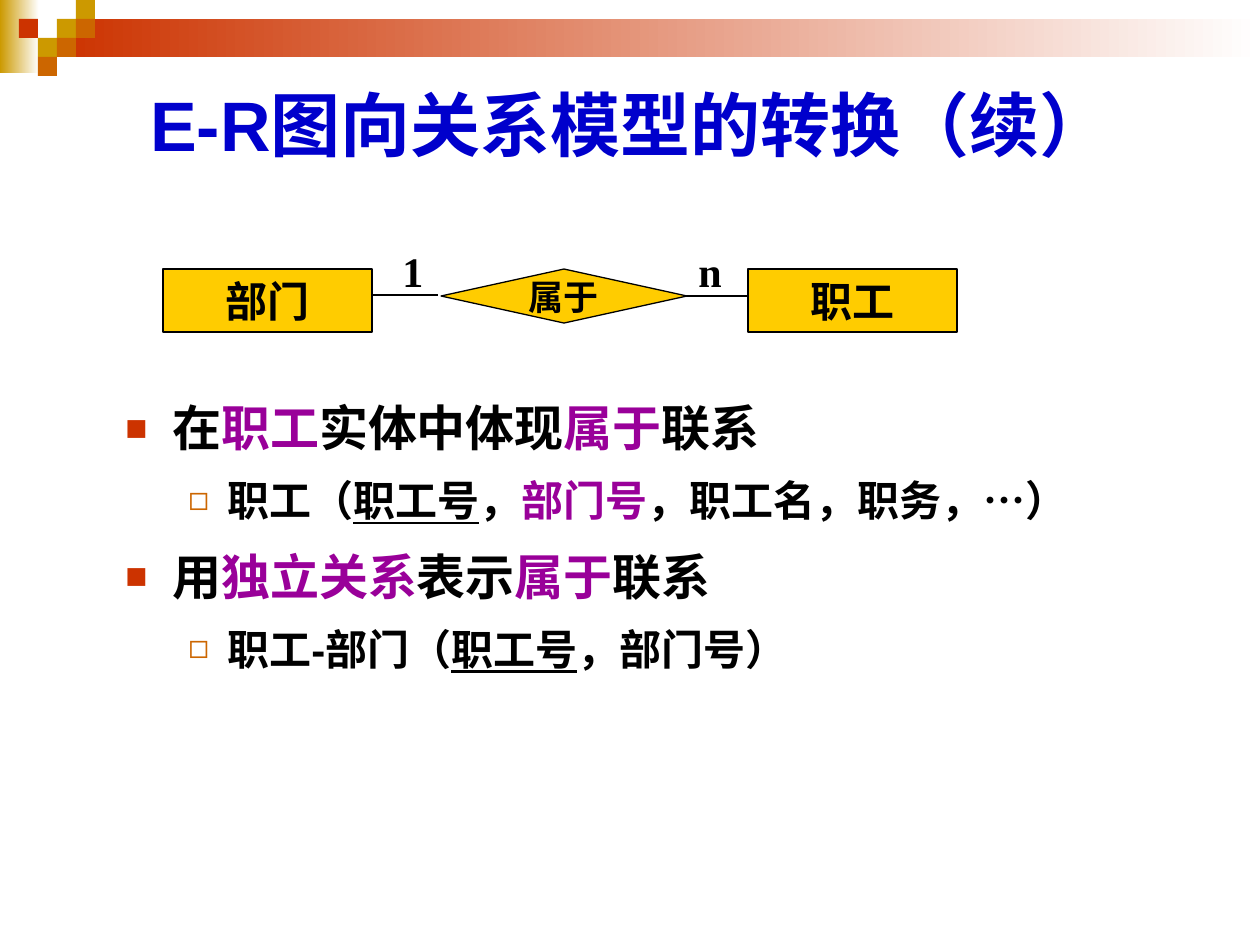
from lxml.etree import SubElement
from pptx import Presentation
from pptx.dml.color import RGBColor
from pptx.enum.shapes import MSO_CONNECTOR, MSO_SHAPE
from pptx.enum.text import MSO_ANCHOR as Anchor, PP_ALIGN as Align
from pptx.oxml.ns import qn
from pptx.util import Emu, Pt

COLORS = {"black": "000000", "white": "FFFFFF", "title": "0000CC", "key": "990099",
          "box": "FFCC00", "gold": "CC9900", "orange": "CC6600", "red": "CC3300"}
PIXEL = 914400 // 126
SANS, SERIF = "Arial", "Times New Roman"
CELL = 19

BANDS = [("gold", (0, 0, 39, 73)), ("red", (57, 19, 1203, 38))]
SQUARES = [(3, 1, "gold"), (4, 0, "gold"), (4, 1, "orange"), (2, 2, "gold"),
           (1, 1, "red"), (3, 2, "orange"), (2, 3, "orange")]

TITLE = ("E-R图向关系模型的转换（续）", (63, 63, 1134, 122))
BODY_AREA = (113, 383, 1101, 407)
BODY = [
    (0, [("在", ""), ("职工", "key"), ("实体中体现", ""), ("属于", "key"), ("联系", "")]),
    (1, [("职工（", ""), ("职工号", "underline"), ("，", ""), ("部门号", "key"),
         ("，职工名，职务，…）", "")]),
    (0, [("用", ""), ("独立关系", "key"), ("表示", ""), ("属于", "key"), ("联系", "")]),
    (1, [("职工-部门（", ""), ("职工号", "underline"), ("，部门号）", "")]),
]
LEVELS = [
    {"size": 28, "before": 7, "margin": 47, "hang": 47, "bullet": "■", "color": "red", "scale": 75},
    {"size": 24, "before": 6, "margin": 102, "hang": 39, "bullet": "◻", "color": "orange", "scale": 80},
]

LINKS = [(438, 372, 295), (748, 679, 296)]
ENTITIES = [("部门", (163, 269, 209, 63)), ("职工", (748, 269, 209, 63))]
RELATION = ("属于", (441, 269, 246, 54))
CARDINALITIES = [("1", (382, 239, 62, 63)), ("n", (679, 239, 62, 63))]


def px(*values):
    return [Emu(value * PIXEL) for value in values]


def color(name):
    return RGBColor.from_string(COLORS[name])


def style(paragraph, size, font, ink="black"):
    paragraph.font.size = Pt(size)
    paragraph.font.name = font
    paragraph.font.bold = True
    paragraph.font.color.rgb = color(ink)


def add_block(kind, area, fill=None, outlined=False):
    shape = slide.shapes.add_shape(kind, *px(*area))
    shape.shadow.inherit = False
    if fill:
        shape.fill.solid()
        shape.fill.fore_color.rgb = color(fill)
    if outlined:
        shape.line.color.rgb = color("black")
        shape.line.width = Pt(0.74)
    else:
        shape.line.fill.background()
    return shape


def add_textbox(area):
    box = slide.shapes.add_textbox(*px(*area))
    box.text_frame.word_wrap = True
    return box


def set_label(shape, text, size, font, ink="black", anchor=Anchor.TOP, before=0):
    shape.text_frame.vertical_anchor = anchor
    paragraph = shape.text_frame.paragraphs[0]
    paragraph.text = text
    paragraph.alignment = Align.CENTER
    paragraph.space_before = Pt(before)
    style(paragraph, size, font, ink)


def set_bullet(paragraph, level):
    properties = paragraph._p.get_or_add_pPr()
    margin, hang = px(level["margin"], level["hang"])
    properties.set("marL", str(margin))
    properties.set("indent", str(-hang))
    tint = SubElement(properties, qn("a:buClr"))
    SubElement(tint, qn("a:srgbClr"), val=COLORS[level["color"]])
    SubElement(properties, qn("a:buSzPct"), val=str(level["scale"] * 1000))
    SubElement(properties, qn("a:buFont"), typeface=SANS)
    SubElement(properties, qn("a:buChar"), char=level["bullet"])


presentation = Presentation()
presentation.slide_width, presentation.slide_height = px(1260, 945)
slide = presentation.slides.add_slide(presentation.slide_layouts[6])

for name, area in BANDS:
    band = add_block(MSO_SHAPE.RECTANGLE, area)
    band.fill.gradient()
    band.fill.gradient_angle = 0
    for stop, tone in zip(band.fill.gradient_stops, (name, "white")):
        stop.color.rgb = color(tone)

for column, row, name in SQUARES:
    add_block(MSO_SHAPE.RECTANGLE, (column * CELL, row * CELL, CELL, CELL), name)

title, title_area = TITLE
set_label(add_textbox(title_area), title, 40, SANS, "title", Anchor.MIDDLE)

body_frame = add_textbox(BODY_AREA).text_frame
for index, (depth, runs) in enumerate(BODY):
    level = LEVELS[depth]
    paragraph = body_frame.add_paragraph() if index else body_frame.paragraphs[0]
    paragraph.level = depth
    paragraph.line_spacing = 1.15
    paragraph.space_before = Pt(level["before"])
    set_bullet(paragraph, level)
    style(paragraph, level["size"], SANS)
    for text, mark in runs:
        run = paragraph.add_run()
        run.text = text
        if mark == "key":
            run.font.color.rgb = color("key")
        elif mark == "underline":
            run.font.underline = True

for start, end, y in LINKS:
    link = slide.shapes.add_connector(MSO_CONNECTOR.STRAIGHT, *px(start, y, end, y))
    link.line.color.rgb = color("black")
    link.line.width = Pt(0.74)
    SubElement(link._element.spPr, qn("a:effectLst"))

for text, area in ENTITIES:
    entity = add_block(MSO_SHAPE.RECTANGLE, area, "box", outlined=True)
    set_label(entity, text, 24, SERIF, before=15)

text, area = RELATION
relation = add_block(MSO_SHAPE.DIAMOND, area, "box", outlined=True)
relation.text_frame.word_wrap = False
set_label(relation, text, 20, SERIF, anchor=Anchor.MIDDLE)

for text, area in CARDINALITIES:
    set_label(add_textbox(area), text, 24, SERIF, before=15)

presentation.save("out.pptx")
